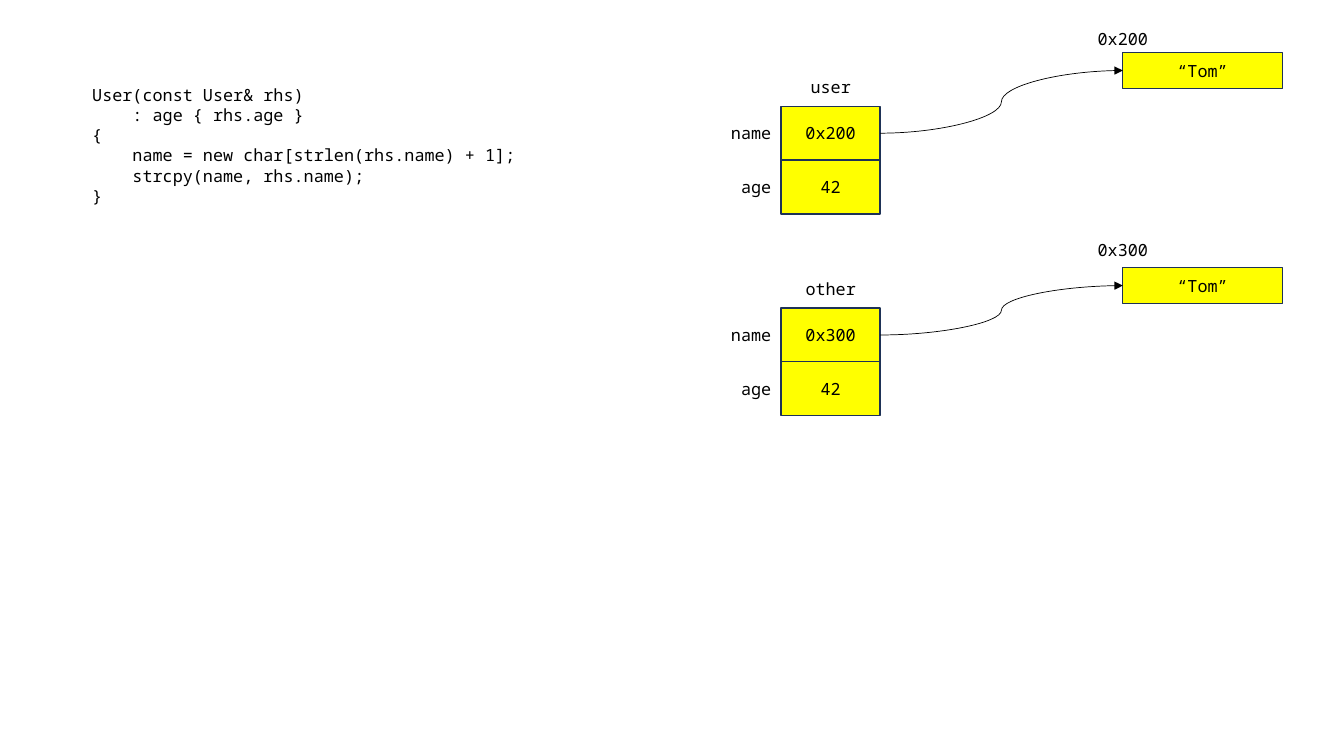
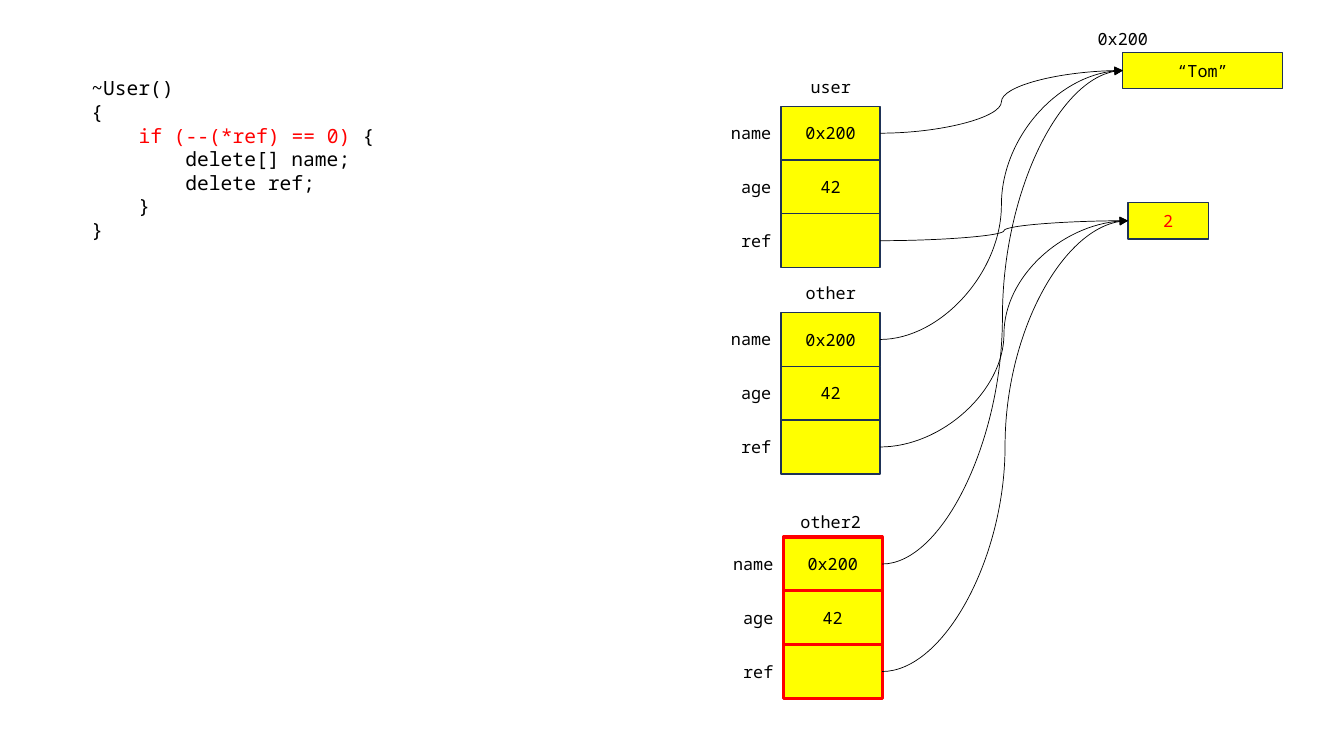
from lxml import etree
from pptx import Presentation
from pptx.dml.color import RGBColor
from pptx.enum.shapes import MSO_CONNECTOR as Connector, MSO_SHAPE as Shape
from pptx.enum.text import MSO_ANCHOR as Anchor, PP_ALIGN as Align
from pptx.oxml.ns import qn
from pptx.util import Pt

FONT = "Noto Sans Mono"
BLACK, RED, YELLOW, NAVY = "000000", "FF0000", "FFFF00", "1E3256"
CELL_WIDTH, CELL_HEIGHT, CELL_STEP = 70.6, 38.6, 38.4
CELL_LEFT, TITLE_CENTER = 558, 593.4
LABEL_WIDTH, LABEL_HEIGHT, TITLE_WIDTH = 54.7, 21.8, 62.6
HEAP_HEIGHT = 26

# Heap boxes: key -> left, top, width, text, colour
TOM = (802, 37.4, 114, "“Tom”", BLACK)
TOM_COPY = (802, 191, 114, "“Tom”", BLACK)
COUNTER = (805.7, 144.7, 57.6, "2", RED)

# Object fields: label, value, key of the heap box it points to
AGE = ("age", "42", None)
SHARED = [("name", "0x200", "tom"), AGE, ("ref", "", "counter")]

SLIDES = [
    {
        "code": (30, 57, 12, [
            [("    User(const User& rhs)", BLACK)],
            [("        : age { rhs.age }", BLACK)],
            [("    {", BLACK)],
            [("        name = new char[strlen(rhs.name) + 1];", BLACK)],
            [("        strcpy(name, rhs.name);", BLACK)],
            [("    }", BLACK)],
        ]),
        "heap": {"tom": TOM, "copy": TOM_COPY},
        "addresses": [("0x200", 16.8), ("0x300", 167.4)],
        # name, name top, cells left, cells top, line colour, line width, fields
        "objects": [
            ("user", 51.3, CELL_LEFT, 75.9, NAVY, 1, [("name", "0x200", "tom"), AGE]),
            ("other", 195.4, CELL_LEFT, 220, NAVY, 1, [("name", "0x300", "copy"), AGE]),
        ],
    },
    {
        "code": (24.5, 51, 14, [
            [("    ~User()", BLACK)],
            [("    {", BLACK)],
            [("        ", BLACK), ("if (--(*ref) == 0) ", RED), ("{", BLACK)],
            [("            delete[] name;", BLACK)],
            [("            delete ref;", BLACK)],
            [("        }", BLACK)],
            [("    }", BLACK)],
        ]),
        "heap": {"tom": TOM, "counter": COUNTER},
        "addresses": [("0x200", 16.8)],
        "objects": [
            ("user", 51.3, CELL_LEFT, 75.9, NAVY, 1, SHARED),
            ("other", 198.4, CELL_LEFT, 223.2, NAVY, 1, SHARED),
            ("other2", 361.8, 559.5, 383.6, RED, 2.25, SHARED),
        ],
    },
]


def rgb(color):
    return RGBColor.from_string(color)


def style(paragraph, size=12, color=BLACK, align=Align.LEFT):
    paragraph.alignment = align
    font = paragraph.font
    font.name, font.size, font.color.rgb = FONT, Pt(size), rgb(color)


def add_text(page, left, top, width, text, align):
    box = page.shapes.add_textbox(Pt(left), Pt(top), Pt(width), Pt(LABEL_HEIGHT))
    box.text_frame.word_wrap = True
    box.text_frame.text = text
    style(box.text_frame.paragraphs[0], align=align)


def add_cell(page, left, top, width, height, text, color=BLACK, line=NAVY, weight=1):
    cell = page.shapes.add_shape(Shape.RECTANGLE, Pt(left), Pt(top), Pt(width), Pt(height))
    cell.shadow.inherit = False
    cell.fill.solid()
    cell.fill.fore_color.rgb = rgb(YELLOW)
    cell.line.color.rgb = rgb(line)
    cell.line.width = Pt(weight)
    if text:
        frame = cell.text_frame
        frame.text = text
        frame.vertical_anchor = Anchor.MIDDLE
        style(frame.paragraphs[0], color=color, align=Align.CENTER)
    return cell


def add_arrow(page, source, target):
    arrow = page.shapes.add_connector(Connector.CURVE, 0, 0, 0, 0)
    arrow.begin_connect(source, 3)
    arrow.end_connect(target, 1)
    arrow.line.color.rgb = rgb(BLACK)
    arrow.line.width = Pt(0.5)
    etree.SubElement(arrow.line._get_or_add_ln(), qn("a:tailEnd"), type="triangle")
    etree.SubElement(arrow._element.spPr, qn("a:effectLst"))


def add_code(page, left, top, size, lines):
    height = len(lines) * size * 1.2 + 7.2
    box = page.shapes.add_textbox(Pt(left), Pt(top), Pt(480), Pt(height))
    frame = box.text_frame
    frame.word_wrap = True
    for index, runs in enumerate(lines):
        para = frame.add_paragraph() if index else frame.paragraphs[0]
        style(para, size)
        for text, color in runs:
            span = para.add_run()
            span.text = text
            if color != BLACK:
                span.font.color.rgb = rgb(color)


def add_object(page, heap, name, name_top, left, top, line, weight, fields):
    add_text(page, TITLE_CENTER - TITLE_WIDTH / 2, name_top, TITLE_WIDTH, name, Align.CENTER)
    for row, (label, value, target) in enumerate(fields):
        cell_top = top + row * CELL_STEP
        cell = add_cell(page, left, cell_top, CELL_WIDTH, CELL_HEIGHT, value,
                        line=line, weight=weight)
        label_top = cell_top + (CELL_HEIGHT - LABEL_HEIGHT) / 2
        add_text(page, left - LABEL_WIDTH, label_top, LABEL_WIDTH, label, Align.RIGHT)
        if target:
            add_arrow(page, cell, heap[target])


def main():
    deck = Presentation()
    deck.slide_width, deck.slide_height = Pt(960), Pt(540)
    for content in SLIDES:
        page = deck.slides.add_slide(deck.slide_layouts[6])
        # Heap boxes and their addresses
        heap = {key: add_cell(page, left, top, width, HEAP_HEIGHT, text, color)
                for key, (left, top, width, text, color) in content["heap"].items()}
        for address, top in content["addresses"]:
            add_text(page, 774.7, top, LABEL_WIDTH, address, Align.CENTER)
        # Objects with their pointers
        for item in content["objects"]:
            add_object(page, heap, *item)
        # Code listing
        add_code(page, *content["code"])
    deck.save("out.pptx")


if __name__ == "__main__":
    main()
